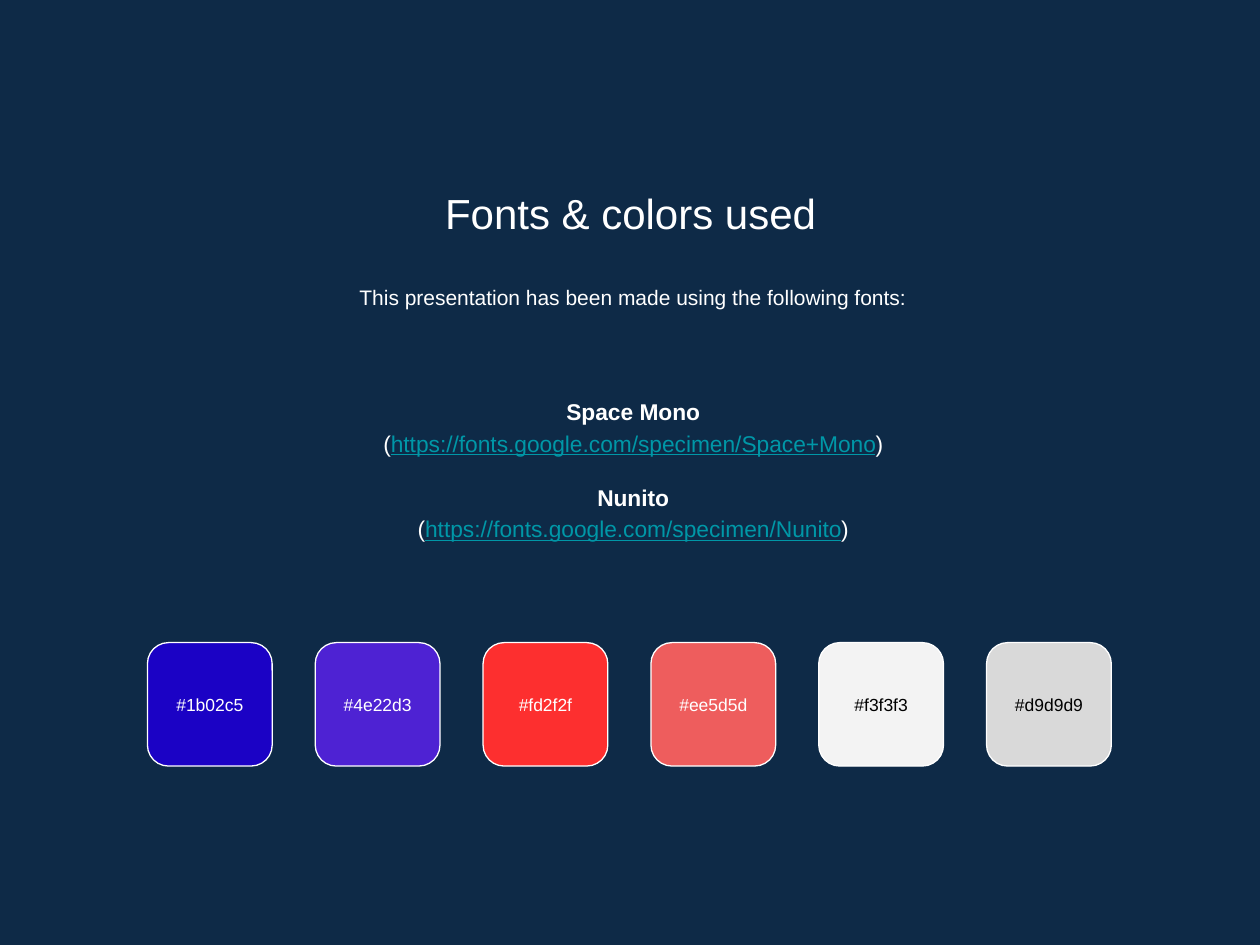
from dataclasses import dataclass

from pptx import Presentation
from pptx.dml.color import RGBColor
from pptx.enum.shapes import MSO_SHAPE as Shape
from pptx.enum.text import MSO_ANCHOR as Anchor, PP_ALIGN as Align
from pptx.util import Inches, Pt


@dataclass(frozen=True)
class Theme:
    font: str = "Arial"
    background: str = "0E2A47"
    light: str = "FFFFFF"
    dark: str = "000000"
    link: str = "0097A7"
    title: int = 24
    intro: int = 12
    entry: int = 13
    label: int = 10


THEME = Theme()
FONTS = [
    ("Space Mono", "https://fonts.google.com/specimen/Space+Mono"),
    ("Nunito", "https://fonts.google.com/specimen/Nunito"),
]
SWATCHES = [
    ("#1b02c5", THEME.light),
    ("#4e22d3", THEME.light),
    ("#fd2f2f", THEME.light),
    ("#ee5d5d", THEME.light),
    ("#f3f3f3", THEME.dark),
    ("#d9d9d9", THEME.dark),
]


def rgb(code):
    return RGBColor.from_string(code.lstrip("#").upper())


def prepare_frame(shape, anchor):
    frame = shape.text_frame
    frame.word_wrap = True
    frame.vertical_anchor = anchor
    frame.margin_left = frame.margin_right = Inches(0.1)
    frame.margin_top = frame.margin_bottom = Inches(0.1)
    return frame


def style_paragraph(para, size, color=THEME.light, bold=False, spacing=None):
    para.alignment = Align.CENTER
    para.line_spacing = spacing
    para.font.name = THEME.font
    para.font.size = Pt(size)
    para.font.bold = bold
    para.font.color.rgb = rgb(color)


def add_line(page, box, text, size, spacing=None):
    frame = prepare_frame(page.shapes.add_textbox(*box), Anchor.TOP)
    para = frame.paragraphs[0]
    para.text = text
    style_paragraph(para, size, spacing=spacing)


def add_font_list(page, box):
    frame = prepare_frame(page.shapes.add_textbox(*box), Anchor.MIDDLE)
    for index, (name, address) in enumerate(FONTS):
        heading = frame.add_paragraph() if index else frame.paragraphs[0]
        heading.text = name
        style_paragraph(heading, THEME.entry, bold=True, spacing=1.15)
        if index:
            heading.space_before = Pt(13)

        source = frame.add_paragraph()
        style_paragraph(source, THEME.entry, spacing=1.15)
        for text in ("(", address, ")"):
            span = source.add_run()
            span.text = text
            is_link = text == address
            span.font.underline = is_link
            span.font.color.rgb = rgb(THEME.link if is_link else THEME.light)


def add_swatches(page, box):
    left, top, width, height = box
    tile = Inches(0.99)
    step = (width - tile) / (len(SWATCHES) - 1)
    for index, (code, text_color) in enumerate(SWATCHES):
        swatch = page.shapes.add_shape(
            Shape.ROUNDED_RECTANGLE, int(left + index * step), top, tile, height
        )
        swatch.shadow.inherit = False
        swatch.adjustments[0] = 0.17
        swatch.fill.solid()
        swatch.fill.fore_color.rgb = rgb(code)
        swatch.line.color.rgb = rgb(THEME.light)
        swatch.line.width = Pt(0.75)
        para = prepare_frame(swatch, Anchor.MIDDLE).paragraphs[0]
        para.text = code
        style_paragraph(para, THEME.label, text_color)


def inches(*lengths):
    return tuple(Inches(length) for length in lengths)


def main():
    deck = Presentation()
    deck.slide_width, deck.slide_height = inches(10, 7.5)
    page = deck.slides.add_slide(deck.slide_layouts[6])
    page.background.fill.solid()
    page.background.fill.fore_color.rgb = rgb(THEME.background)

    add_line(page, inches(1.15, 1.39, 7.71, 0.7), "Fonts & colors used", THEME.title)
    add_line(
        page,
        inches(1.17, 2.13, 7.71, 0.64),
        "This presentation has been made using the following fonts:",
        THEME.intro,
        spacing=1.15,
    )
    add_font_list(page, inches(1.17, 2.8, 7.71, 1.83))
    add_swatches(page, inches(1.17, 5.1, 7.65, 0.98))
    deck.save("out.pptx")


if __name__ == "__main__":
    main()
